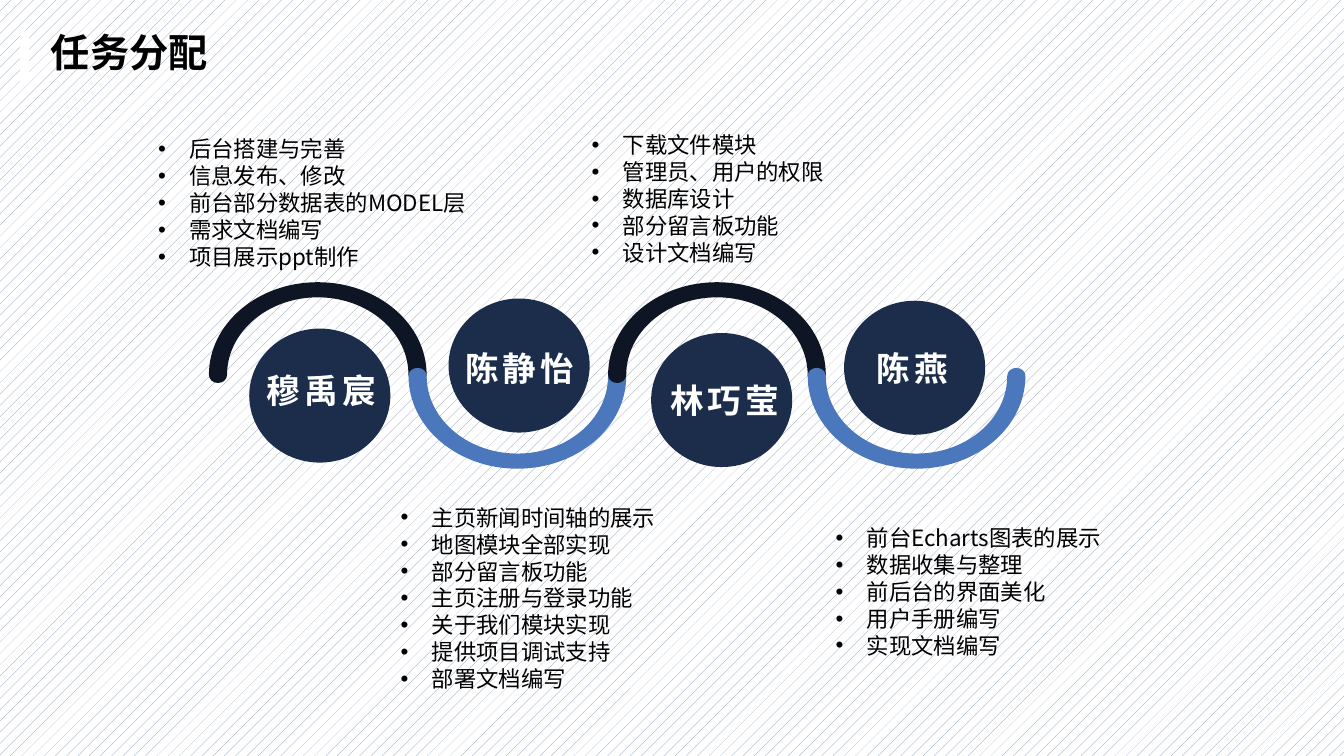
import math

import pptx
import pptx.dml.color
import pptx.enum.dml
import pptx.enum.shapes
import pptx.enum.text
import pptx.oxml.ns
import pptx.util
from lxml import etree

CELL = pptx.util.Inches(0.1)  # the slide is a grid of 133.33 columns by 75 rows
FONT = "Noto Sans CJK SC"
NAVY, DARK, BLUE, WHITE, BLACK = "1B2D4A", "0E1625", "4B77BD", "FFFFFF", "000000"
ARC_STEP = 19.8
FIRST_ARC = 31.53
QUARTER_HANDLE = 0.5523  # handle length of a quarter ellipse, as a share of its radius

# name, circle (column, row), label (column, row), list (column, row, rows), tasks
MEMBERS = [
    ("穆禹宸", (24.73, 32.6), (24.75, 36.1), (14.7, 12.95, 14.5),
     ["后台搭建与完善", "信息发布、修改", "前台部分数据表的MODEL层", "需求文档编写", "项目展示ppt制作"]),
    ("陈静怡", (44.5, 29.62), (44.47, 33.9), (38.77, 49.5, 25.2),
     ["主页新闻时间轴的展示", "地图模块全部实现", "部分留言板功能", "主页注册与登录功能",
      "关于我们模块实现", "提供项目调试支持", "部署文档编写"]),
    ("林巧莹", (64.6, 33.04), (64.8, 37.1), (57.7, 12.53, 14.5),
     ["下载文件模块", "管理员、用户的权限", "数据库设计", "部分留言板功能", "设计文档编写"]),
    ("陈燕", (83.74, 29.84), (83.4, 33.9), (81.92, 51.53, 14.5),
     ["前台Echarts图表的展示", "数据收集与整理", "前后台的界面美化", "用户手册编写", "实现文档编写"]),
]


def color(value):
    return pptx.dml.color.RGBColor.from_string(value)


def cells(*counts):
    return [round(count * CELL) for count in counts]


def paint(shape, fill):
    shape.shadow.inherit = False
    shape.fill.solid()
    shape.fill.fore_color.rgb = color(fill)
    shape.line.fill.background()


def style(para, size, fill, bold=False, spacing=0):
    para.font.size = pptx.util.Pt(size)
    para.font.name = FONT
    para.font.bold = bold
    para.font.color.rgb = color(fill)
    defaults = para._p.pPr.find(pptx.oxml.ns.qn("a:defRPr"))
    defaults.set("spc", str(spacing * 100))
    latin = defaults.find(pptx.oxml.ns.qn("a:latin"))
    latin.addnext(etree.Element(pptx.oxml.ns.qn("a:ea"), typeface=FONT))


def add_bullet(para):
    properties = para._p.get_or_add_pPr()
    indent = pptx.util.Inches(0.31)
    properties.set("marL", str(indent))
    properties.set("indent", str(-indent))
    properties.insert(0, etree.Element(pptx.oxml.ns.qn("a:buFont"), typeface="Arial"))
    properties.insert(1, etree.Element(pptx.oxml.ns.qn("a:buChar"), char="•"))


def set_background(page):
    fill = page.background.fill
    fill.patterned()
    fill.pattern = pptx.enum.dml.MSO_PATTERN.PERCENT_10
    fill.fore_color.rgb = color("7C90AE")
    fill.back_color.rgb = color(WHITE)


def add_heading(page, text):
    title = page.shapes.title
    title.left, title.top, title.width, title.height = cells(4.05, 2.3, 17.7, 5.7)
    frame = title.text_frame
    frame.text = text
    frame.word_wrap = False
    frame.auto_size = pptx.enum.text.MSO_AUTO_SIZE.NONE
    frame.vertical_anchor = pptx.enum.text.MSO_ANCHOR.MIDDLE
    para = frame.paragraphs[0]
    para.alignment = pptx.enum.text.PP_ALIGN.LEFT
    para.font.size = pptx.util.Pt(28)
    para.font.name = "Arial"
    para.font.bold = True
    para.font.color.rgb = color(BLACK)
    marker = page.shapes.add_shape(
        pptx.enum.shapes.MSO_SHAPE.RECTANGLE, *cells(2, 3, 0.9, 5))
    paint(marker, WHITE)


def quarter_curve(center, radius_x, radius_y, start, turn):
    """Return two handles and the end of a quarter ellipse; turn is 1 or -1."""
    first, last = math.radians(start), math.radians(start + 90 * turn)
    handle = QUARTER_HANDLE * turn
    return [
        (center + radius_x * (math.cos(angle) - reach * math.sin(angle)),
         radius_y * (math.sin(angle) + reach * math.cos(angle)))
        for angle, reach in ((first, handle), (last, -handle), (last, 0))
    ]


def add_arc(page, center, base, direction, fill):
    """Draw a half ring with round ends; direction is 1 for up and -1 for down."""
    halves = [
        (center, 10.8, 9.2, 180, -1),
        (center + 9.9, 0.9, 0.8, 0, -1),
        (center, 9, 7.7, 0, 1),
        (center - 9.9, 0.9, 0.8, 0, -1),
    ]
    curves = []
    for middle, radius_x, radius_y, start, turn in halves:
        for begin in (start, start + 90 * turn):
            quarter = quarter_curve(middle, radius_x, radius_y, begin, turn)
            curves.append([cells(x, base - direction * y) for x, y in quarter])
    builder = page.shapes.build_freeform(*cells(center - 10.8, base))
    builder.add_line_segments([curve[-1] for curve in curves], close=True)
    arc = builder.convert_to_shape()
    lines = list(arc._element.iter(pptx.oxml.ns.qn("a:lnTo")))
    for line, curve in zip(lines, curves):
        bend = etree.Element(pptx.oxml.ns.qn("a:cubicBezTo"))
        for x, y in curve:
            etree.SubElement(bend, pptx.oxml.ns.qn("a:pt"),
                             x=str(x - arc.left), y=str(y - arc.top))
        line.getparent().replace(line, bend)
    paint(arc, fill)


def add_member(page, name, circle_at, label_at):
    circle = page.shapes.add_shape(
        pptx.enum.shapes.MSO_SHAPE.OVAL, *cells(*circle_at, 14, 13.3))
    paint(circle, NAVY)
    frame = page.shapes.add_textbox(*cells(*label_at, 14.2, 5.2)).text_frame
    frame.word_wrap = True
    frame.vertical_anchor = pptx.enum.text.MSO_ANCHOR.MIDDLE
    inset = pptx.util.Inches(0.06)
    frame.margin_left = frame.margin_right = inset
    frame.margin_top = frame.margin_bottom = inset
    frame.text = name
    para = frame.paragraphs[0]
    para.alignment = pptx.enum.text.PP_ALIGN.CENTER
    style(para, 24, WHITE, bold=True, spacing=3)


def add_tasks(page, left, top, height, tasks):
    frame = page.shapes.add_textbox(*cells(left, top, 43, height)).text_frame
    frame.word_wrap = True
    frame.text = "\n".join(tasks)
    for para in frame.paragraphs:
        add_bullet(para)
        style(para, 16, BLACK)


def add_assignment_slide(deck):
    page = deck.slides.add_slide(deck.slide_layouts.get_by_name("Title Only"))
    set_background(page)
    add_heading(page, "任务分配")
    for index, (name, circle_at, label_at, list_box, tasks) in enumerate(MEMBERS):
        center = FIRST_ARC + index * ARC_STEP
        if index % 2 == 0:
            add_arc(page, center, 37.2, 1, DARK)
        else:
            add_arc(page, center, 37.3, -1, BLUE)
        add_member(page, name, circle_at, label_at)
        add_tasks(page, *list_box, tasks)


def main():
    deck = pptx.Presentation()
    deck.slide_width, deck.slide_height = cells(133.33, 75)
    add_assignment_slide(deck)
    deck.save("out.pptx")


if __name__ == "__main__":
    main()
